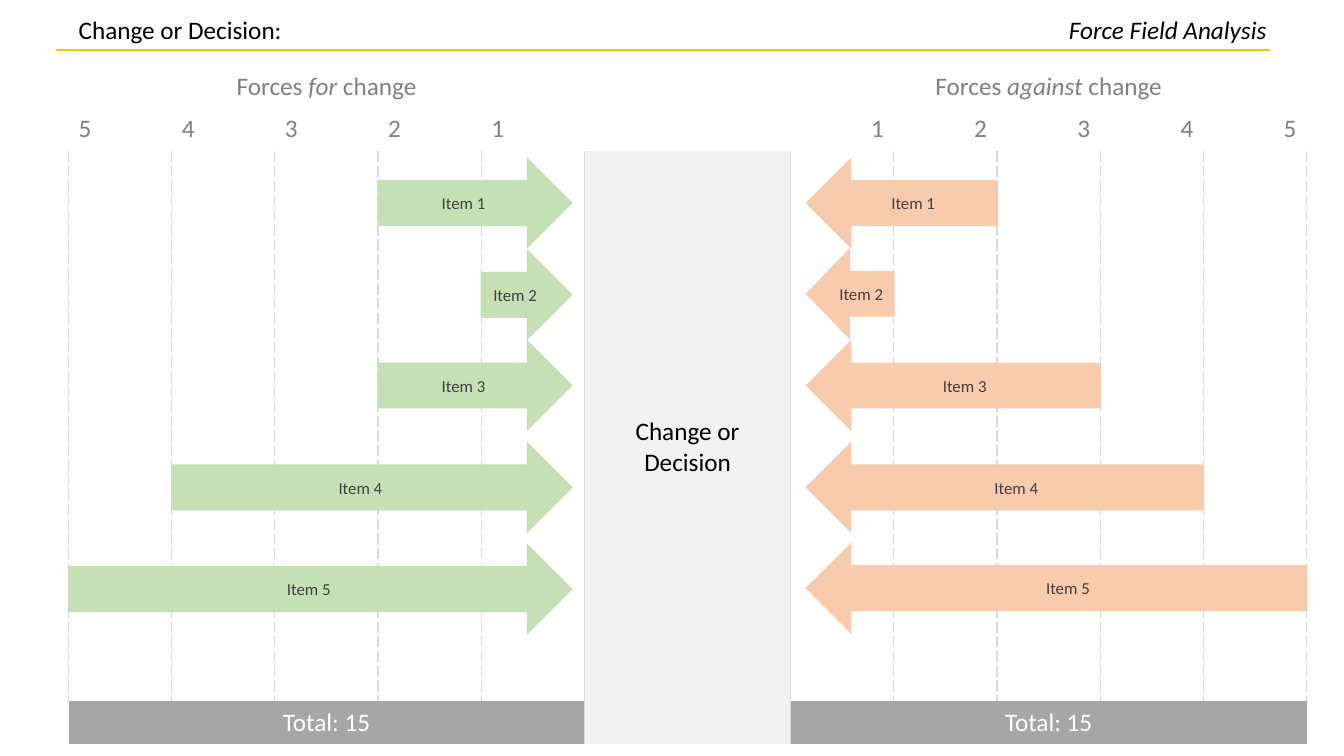
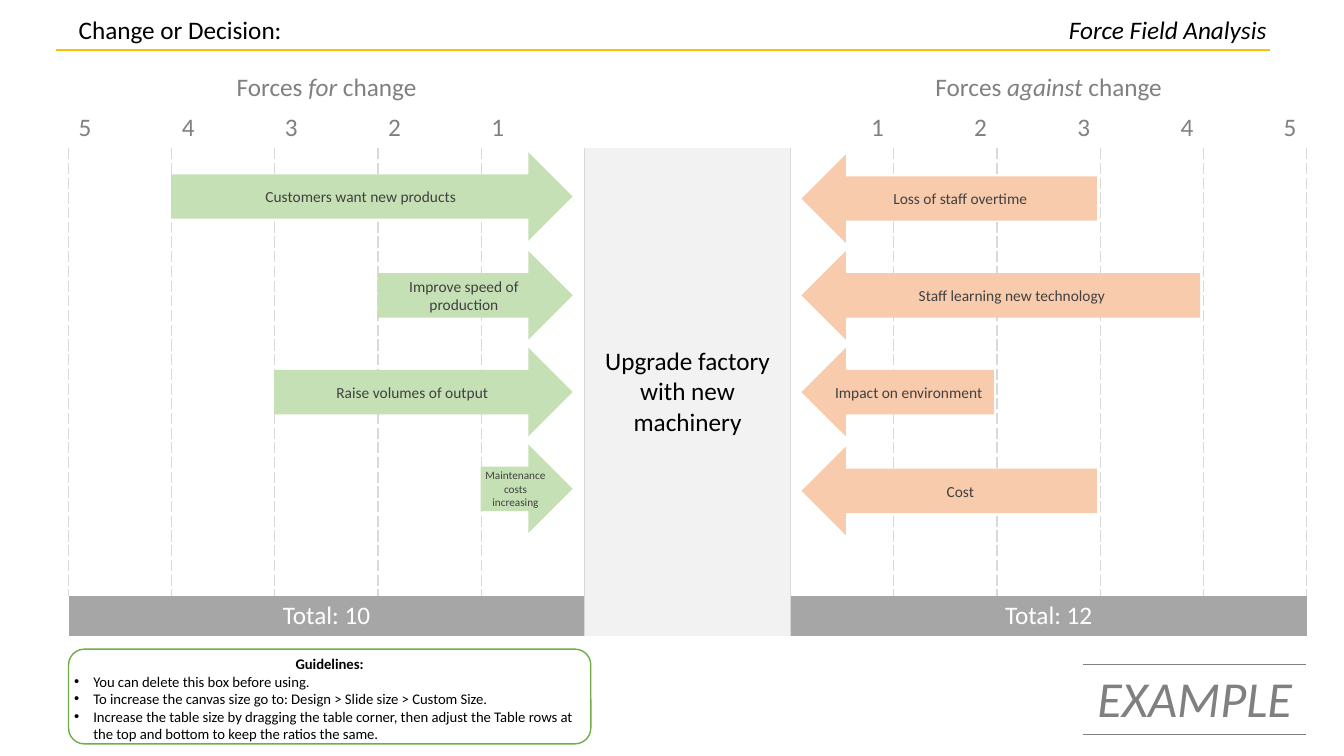
from pptx import Presentation
from pptx import util as u
from pptx.dml import color as col
from pptx.enum import shapes, text
from pptx.oxml import ns
from lxml import etree

# Content: items are (text, score, top, type size)
DECKS = [
    dict(
        choice="Change or Decision", top=0.66, rows=[0.42, 0.42, 5.46, 0.42],
        high=0.91, start=7.99, totals=["Total: 15", "Total: 15"],
        pros=[("Item 1", 2, 1.56, 12), ("Item 2", 1, 2.47, 12), ("Item 3", 2, 3.37, 12),
              ("Item 4", 4, 4.38, 12), ("Item 5", 5, 5.39, 12)],
        cons=[("Item 1", 2, 1.56, 12), ("Item 2", 1, 2.46, 12), ("Item 3", 3, 3.37, 12),
              ("Item 4", 4, 4.38, 12), ("Item 5", 5, 5.38, 12)],
    ),
    dict(
        choice="Upgrade factory with new machinery", top=0.67, rows=[0.4, 0.4, 4.44, 0.4],
        high=0.88, start=7.95, totals=["Total: 10", "Total: 12"],
        pros=[("Customers want new products", 4, 1.51, 11),
              ("Improve speed of production", 2, 2.49, 11),
              ("Raise volumes of output", 3, 3.45, 11),
              ("Maintenance costs increasing", 1, 4.41, 8)],
        cons=[("Loss of staff overtime", 3, 1.53, 11),
              ("Staff learning new technology", 4, 2.49, 11),
              ("Impact on environment", 2, 3.45, 11), ("Cost", 3, 4.43, 11)],
        stamp="EXAMPLE",
        guide=["Guidelines:", "You can delete this box before using.",
               "To increase the canvas size go to: Design > Slide size > Custom Size.",
               "Increase the table size by dragging the table corner, then adjust the "
               "Table rows at the top and bottom to keep the ratios the same."],
    ),
]
TITLE, METHOD = "Change or Decision:", "Force Field Analysis"
HEADS = ["for", "against"]


class Theme:
    font = "Calibri"
    ink, soft, grey, white = "000000", "404040", "808080", "FFFFFF"
    gold, green, peach = "FFC000", "C5E0B4", "F8CBAD"
    edge, panel, band, leaf = "D9D9D9", "F2F2F2", "A6A6A6", "70AD47"
    body, note, big = 18, 10.5, 36


LEFT, UNIT, MAX = 0.68, 12.28 / 12, 5
MID = MAX  # index of the centre column
PRO_END = 5.68
LEAD, CENTER, RIGHT = text.PP_ALIGN.LEFT, text.PP_ALIGN.CENTER, text.PP_ALIGN.RIGHT
TOP, MIDDLE = text.MSO_ANCHOR.TOP, text.MSO_ANCHOR.MIDDLE
PLAIN = "{2D5ABB26-0587-4C30-8999-92F81FD0307C}"  # table style without grid


# Helpers
def put(obj, **vals):
    for key, val in vals.items():
        setattr(obj, key, val)


def box(*vals):
    return [u.Inches(v) for v in vals]


def rgb(code):
    return col.RGBColor.from_string(code)


def paint(obj, code):
    obj.fill.solid()
    obj.fill.fore_color.rgb = rgb(code)


def pad(frame, gap):
    put(frame, **{"margin_" + side: u.Inches(gap) for side in ("left", "top", "right", "bottom")})


def write(para, words, size=Theme.body, color=Theme.ink, align=LEAD, **look):
    """Set the runs of a paragraph; a part given as a tuple is italic."""
    para.alignment = align
    for part in words if isinstance(words, list) else [words]:
        run = para.add_run()
        slant = isinstance(part, tuple)
        run.text = part[0] if slant else part
        put(run.font, name=Theme.font, size=u.Pt(size), **look)
        if slant:
            run.font.italic = True
        run.font.color.rgb = rgb(color)


def fill(cell, words, anchor=TOP, **look):
    cell.vertical_anchor = anchor
    write(cell.text_frame.paragraphs[0], words, **look)


def rule(cell, sides, color=Theme.edge, dash="solid"):
    props = cell._tc.get_or_add_tcPr()
    for side in sides:
        line = etree.SubElement(props, ns.qn("a:ln" + side), w=str(u.Pt(1)))
        tint = etree.SubElement(line, ns.qn("a:solidFill"))
        etree.SubElement(tint, ns.qn("a:srgbClr"), val=color)
        etree.SubElement(line, ns.qn("a:prstDash"), val=dash)


def grid(slide, left, top, cols, rows):
    frame = slide.shapes.add_table(len(rows), len(cols), *box(left, top, sum(cols), sum(rows)))
    table = frame.table
    put(table, first_row=False, horz_banding=False)
    table._tbl.tblPr.find(ns.qn("a:tableStyleId")).text = PLAIN
    for part, size in zip(table.columns, cols):
        part.width = u.Inches(size)
    for part, size in zip(table.rows, rows):
        part.height = u.Inches(size)
    return table


def shape(slide, kind, place, color):
    item = slide.shapes.add_shape(kind, *box(*place))
    item.shadow.inherit = False
    paint(item, color)
    item.line.fill.background()
    item.text_frame.word_wrap = True
    return item


# Slide parts
def header(slide):
    title = slide.shapes.title
    put(title, **dict(zip(("left", "top", "width", "height"), box(LEFT, 0.09, 5, 0.4))))
    put(title.text_frame, vertical_anchor=TOP, auto_size=text.MSO_AUTO_SIZE.NONE)
    write(title.text_frame.paragraphs[0], TITLE)

    label = slide.shapes.add_textbox(*box(9.62, 0.09, 3.04, 0.4)).text_frame
    label.word_wrap = True
    write(label.paragraphs[0], [(METHOD,)], align=RIGHT)

    line = slide.shapes.add_connector(shapes.MSO_CONNECTOR.STRAIGHT, *box(0.56, 0.5, 12.6, 0.5))
    line.line.color.rgb = rgb(Theme.gold)
    line.line.width = u.Pt(1.5)
    etree.SubElement(line._element.spPr, ns.qn("a:effectLst"))


def field(slide, deck):
    cols = [UNIT] * MAX + [2 * UNIT] + [UNIT] * MAX
    table = grid(slide, LEFT, deck["top"], cols, deck["rows"])
    last = len(cols) - 1

    # Borders: dashed scale lines, solid beside the centre
    for num in range(len(cols)):
        for side, near in (("L", num in (MID, MID + 1)), ("R", num in (MID - 1, MID))):
            rule(table.cell(2, num), side, dash="solid" if near else "lgDash")
    rule(table.cell(3, MID), "LR")

    for row in table.rows:
        for cell in row.cells:
            cell.fill.background()

    # Headings, scores and totals of both sides
    sides = [(0, MAX - 1), (MID + 1, last)]
    for (first, end), head, total in zip(sides, HEADS, deck["totals"]):
        for row in (0, 3):
            table.cell(row, first).merge(table.cell(row, end))
        fill(table.cell(0, first), ["Forces ", (head,), " change"],
             color=Theme.grey, align=CENTER)
        fill(table.cell(3, first), total, MIDDLE, color=Theme.white, align=CENTER)
        paint(table.cell(3, first), Theme.band)
        for num in range(first, end + 1):
            fill(table.cell(1, num), str(abs(num - MID)), color=Theme.grey,
                 align=RIGHT if first else LEAD)

    # Centre panel
    panel = table.cell(2, MID)
    panel.merge(table.cell(3, MID))
    paint(panel, Theme.panel)
    fill(panel, deck["choice"], MIDDLE, align=CENTER)


def arrows(slide, deck):
    kinds = shapes.MSO_SHAPE
    for key, kind, color, trim in (("pros", kinds.RIGHT_ARROW, Theme.green, 0.11),
                                   ("cons", kinds.LEFT_ARROW, Theme.peach, 0.14)):
        for words, score, top, size in deck[key]:
            wide = score * UNIT - trim
            left = PRO_END - wide if key == "pros" else deck["start"]
            arrow = shape(slide, kind, (left, top, wide, deck["high"]), color)
            frame = arrow.text_frame
            pad(frame, 0.04)
            frame.vertical_anchor = MIDDLE
            write(frame.paragraphs[0], words, size, Theme.soft, CENTER)


def stamp(slide, words):
    cell = grid(slide, 10.74, 6.59, [2.22], [0.7]).cell(0, 0)
    rule(cell, "LR", Theme.white)
    rule(cell, "TB", Theme.grey)
    cell.fill.background()
    fill(cell, [(words,)], size=Theme.big, color=Theme.grey, align=CENTER)


def guide(slide, lines):
    note = shape(slide, shapes.MSO_SHAPE.ROUNDED_RECTANGLE, (LEFT, 6.44, 5.18, 0.94), Theme.white)
    note.line.color.rgb = rgb(Theme.leaf)
    note.line.width = u.Pt(1)
    frame = note.text_frame
    pad(frame, 0.01)
    frame.vertical_anchor = TOP
    write(frame.paragraphs[0], lines[0], Theme.note, align=CENTER, bold=True)
    for words in lines[1:]:
        para = frame.add_paragraph()
        props = para._p.get_or_add_pPr()
        dent = u.Inches(0.19)
        props.set("marL", str(dent))
        props.set("indent", str(-dent))
        etree.SubElement(props, ns.qn("a:buFont"), typeface="Arial")
        etree.SubElement(props, ns.qn("a:buChar"), char="•")
        write(para, words, Theme.note)


def main():
    prs = Presentation()
    put(prs, slide_width=u.Inches(13.33), slide_height=u.Inches(7.5))
    for deck in DECKS:
        slide = prs.slides.add_slide(prs.slide_layouts[5])
        header(slide)
        field(slide, deck)
        arrows(slide, deck)
        for key, draw in (("stamp", stamp), ("guide", guide)):
            if key in deck:
                draw(slide, deck[key])
    prs.save("out.pptx")


if __name__ == "__main__":
    main()
